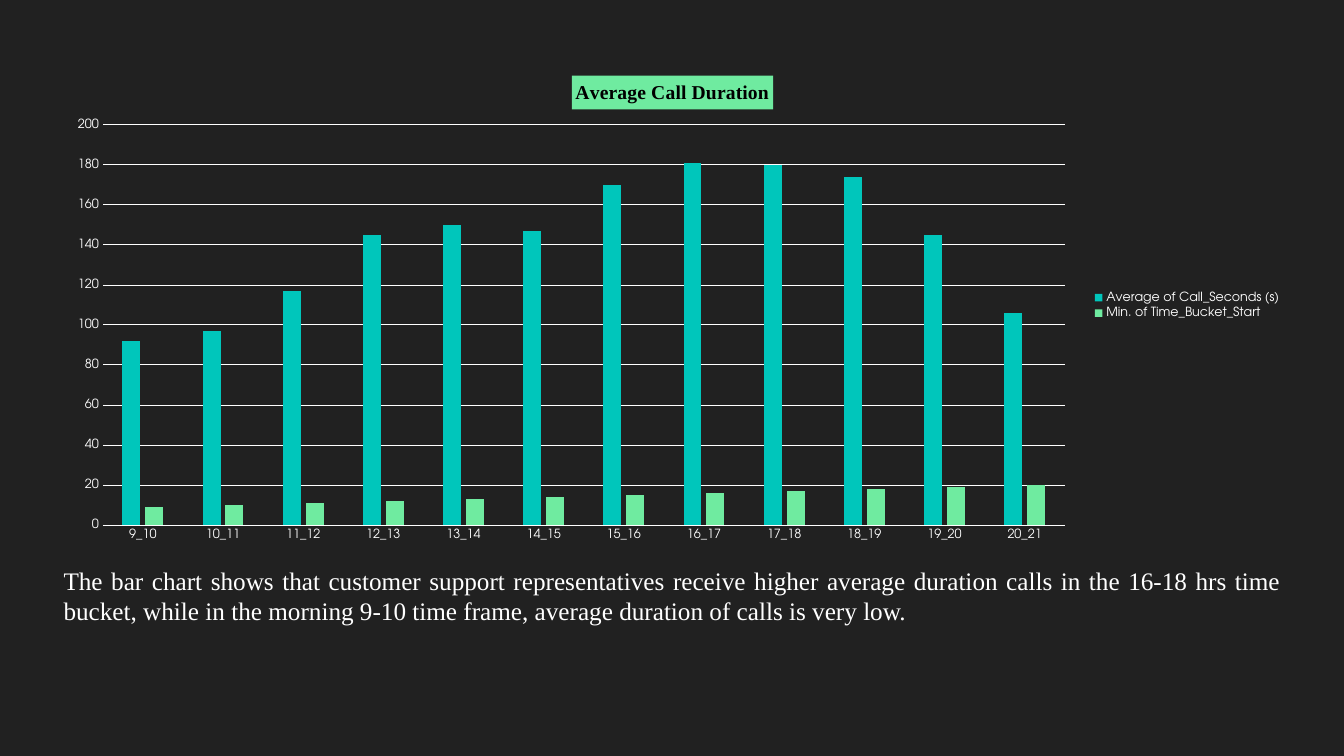
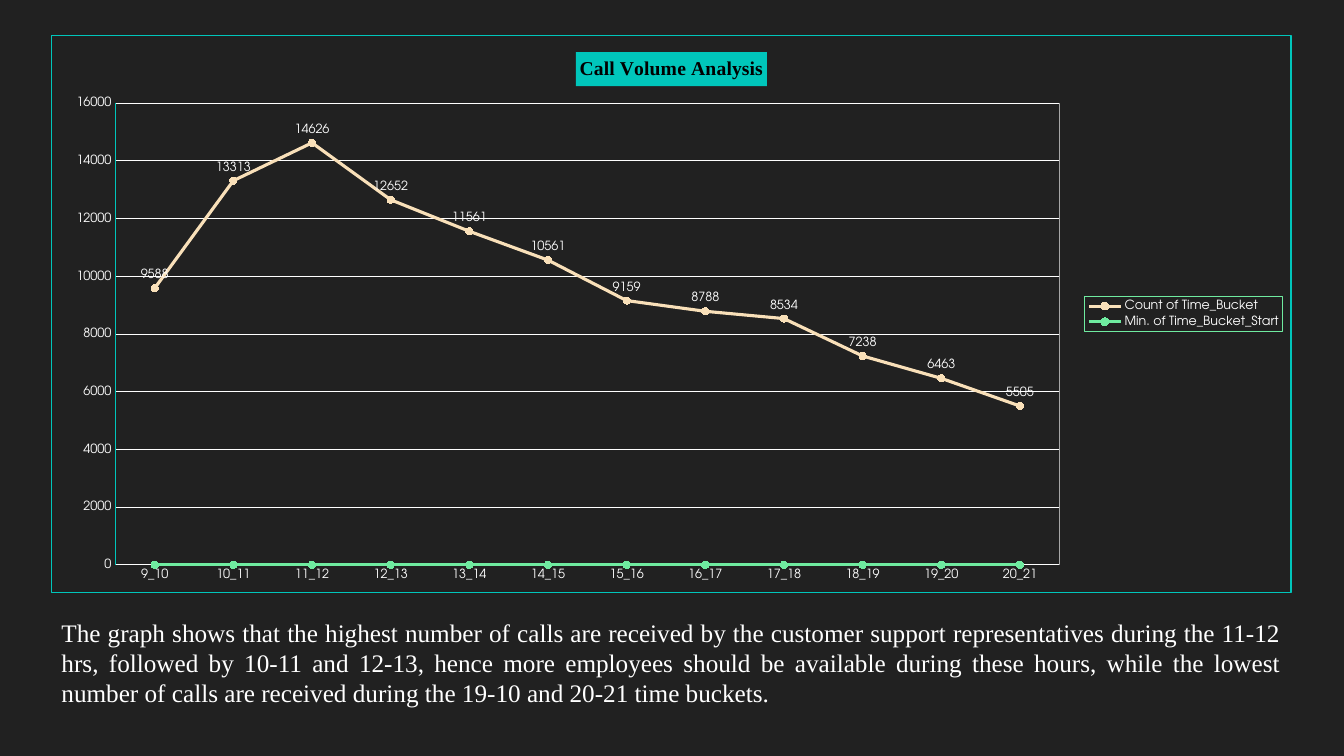
from dataclasses import dataclass
from typing import NamedTuple, Optional

from pptx import Presentation, oxml
from pptx import util as u
from pptx.chart import data as chart_data
from pptx.dml import color
from pptx.enum import chart as charts, text
from pptx.oxml import ns


@dataclass(frozen=True)
class Theme:
    background: str = "212121"
    light: str = "FFFFFF"
    dark: str = "000000"
    teal: str = "00C6BB"
    green: str = "6FEBA0"
    cream: str = "F9E0B9"
    grey: str = "A6A6A6"
    chart_font: str = "TeX Gyre Adventor"
    text_font: str = "Times New Roman"
    label_size: float = 9
    chart_size: float = 10
    title_size: float = 14
    caption_size: float = 18
    thin: float = 0.75
    thick: float = 2.25
    marker_size: int = 5


class Box(NamedTuple):
    left: float
    top: float
    width: float
    height: float


class Measure(NamedTuple):
    name: str
    values: tuple[int, ...]
    colour: str
    labelled: bool = False


@dataclass(frozen=True)
class ChartPage:
    kind: charts.XL_CHART_TYPE
    title: str
    title_fill: str
    frame: Box
    plot: Box
    top_value: int
    step: int
    measures: tuple[Measure, ...]
    caption: str
    caption_box: Box
    border: Optional[str] = None
    plot_border: Optional[str] = None
    axis_line: Optional[str] = None
    legend_border: Optional[str] = None


THEME = Theme()
HOURS = tuple(range(9, 21))
PAGES = (
    ChartPage(
        kind=charts.XL_CHART_TYPE.COLUMN_CLUSTERED,
        title="Average Call Duration",
        title_fill=THEME.green,
        frame=Box(0.53, 0.6, 12.28, 4.86),
        plot=Box(1.02, 1.24, 9.54, 3.97),
        top_value=200,
        step=20,
        measures=(
            Measure(
                "Average of Call_Seconds (s)",
                (92, 97, 117, 145, 150, 147, 170, 181, 180, 174, 145, 106),
                THEME.teal,
            ),
            Measure("Min. of Time_Bucket_Start", HOURS, THEME.green),
        ),
        caption="The bar chart shows that customer support representatives receive "
        "higher average duration calls in the 16-18 hrs time bucket, while in the "
        "morning 9-10 time frame, average duration of calls is very low.",
        caption_box=Box(0.53, 5.56, 12.28, 0.71),
    ),
    ChartPage(
        kind=charts.XL_CHART_TYPE.LINE_MARKERS,
        title="Call Volume Analysis",
        title_fill=THEME.teal,
        frame=Box(0.51, 0.35, 12.3, 5.53),
        plot=Box(1.14, 1.02, 9.37, 4.59),
        top_value=16000,
        step=2000,
        measures=(
            Measure(
                "Count of Time_Bucket",
                (9588, 13313, 14626, 12652, 11561, 10561,
                 9159, 8788, 8534, 7238, 6463, 5505),
                THEME.cream,
                labelled=True,
            ),
            Measure("Min. of Time_Bucket_Start", (0,) * len(HOURS), THEME.green),
        ),
        caption="The graph shows that the highest number of calls are received by the "
        "customer support representatives during the 11-12 hrs, followed by 10-11 and "
        "12-13, hence more employees should be available during these hours, while the "
        "lowest number of calls are received during the 19-10 and 20-21 time buckets.",
        caption_box=Box(0.51, 6.07, 12.3, 1.01),
        border=THEME.teal,
        plot_border=THEME.grey,
        axis_line=THEME.teal,
        legend_border=THEME.green,
    ),
)


def rgb(value: str) -> color.RGBColor:
    return color.RGBColor.from_string(value)


def format_font(font, *, size: float, colour: str, name: str, bold: bool = False) -> None:
    font.size = u.Pt(size)
    font.name = name
    font.bold = bold
    font.color.rgb = rgb(colour)


def write_text(frame, words: str, *, size: float, colour: str, name: str,
               bold: bool = False, align=None):
    para = frame.paragraphs[0]
    para.alignment = align
    span = para.add_run()
    span.text = words
    format_font(span.font, size=size, colour=colour, name=name, bold=bold)
    return para


def format_line(line, colour: Optional[str], width: float = THEME.thin) -> None:
    if colour is None:
        line.fill.background()
        return
    line.color.rgb = rgb(colour)
    line.width = u.Pt(width)


def outline(colour: Optional[str]):
    paint = (
        f'<a:solidFill><a:srgbClr val="{colour}"/></a:solidFill>' if colour else "<a:noFill/>"
    )
    return oxml.parse_xml(
        f'<c:spPr {ns.nsdecls("c", "a")}><a:noFill/>'
        f'<a:ln w="{u.Pt(THEME.thin)}">{paint}</a:ln></c:spPr>'
    )


def place_plot(area, page: ChartPage) -> None:
    for layout in area.findall(ns.qn("c:layout")):
        area.remove(layout)
    frame, plot = page.frame, page.plot
    shares = {
        "x": (plot.left - frame.left) / frame.width,
        "y": (plot.top - frame.top) / frame.height,
        "w": plot.width / frame.width,
        "h": plot.height / frame.height,
    }
    modes = "".join(f'<c:{key}Mode val="edge"/>' for key in "xy")
    sizes = "".join(f'<c:{key} val="{share:.4f}"/>' for key, share in shares.items())
    area.insert(0, oxml.parse_xml(
        f'<c:layout {ns.nsdecls("c")}><c:manualLayout><c:layoutTarget val="inner"/>'
        f"{modes}{sizes}</c:manualLayout></c:layout>"
    ))


def format_axes(chart, page: ChartPage) -> None:
    for axis, line in ((chart.category_axis, THEME.light), (chart.value_axis, page.axis_line)):
        axis.major_tick_mark = axis.minor_tick_mark = charts.XL_TICK_MARK.NONE
        format_font(axis.tick_labels.font, size=THEME.label_size, colour=THEME.light,
                    name=THEME.chart_font)
        format_line(axis.format.line, line)
    scale = chart.value_axis
    scale.minimum_scale, scale.maximum_scale = 0, page.top_value
    scale.major_unit = page.step
    scale.has_major_gridlines = True
    format_line(scale.major_gridlines.format.line, THEME.light)


def format_series(chart, page: ChartPage) -> None:
    plot = chart.plots[0]
    plot.vary_by_categories = False
    columns = page.kind == charts.XL_CHART_TYPE.COLUMN_CLUSTERED
    if columns:
        plot.gap_width, plot.overlap = 219, -27
    for series, measure in zip(plot.series, page.measures):
        if columns:
            series.format.fill.solid()
            series.format.fill.fore_color.rgb = rgb(measure.colour)
        else:
            series.smooth = False
            format_line(series.format.line, measure.colour, THEME.thick)
            series.marker.style = charts.XL_MARKER_STYLE.CIRCLE
            series.marker.size = THEME.marker_size
            series.marker.format.fill.solid()
            series.marker.format.fill.fore_color.rgb = rgb(measure.colour)
            format_line(series.marker.format.line, measure.colour)
        if measure.labelled:
            labels = series.data_labels
            labels.show_value = True
            labels.position = charts.XL_LABEL_POSITION.ABOVE
            format_font(labels.font, size=THEME.label_size, colour=THEME.light,
                        name=THEME.chart_font)


def add_chart(slide, page: ChartPage) -> None:
    source = chart_data.CategoryChartData()
    source.categories = [f"{hour}_{hour + 1}" for hour in HOURS]
    for measure in page.measures:
        source.add_series(measure.name, measure.values)
    chart = slide.shapes.add_chart(page.kind, *map(u.Inches, page.frame), source).chart
    format_font(chart.font, size=THEME.chart_size, colour=THEME.light, name=THEME.chart_font)

    chart.has_title = True
    title = chart.chart_title
    write_text(title.text_frame, page.title, size=THEME.title_size, colour=THEME.dark,
               name=THEME.text_font, bold=True)
    title.format.fill.solid()
    title.format.fill.fore_color.rgb = rgb(page.title_fill)

    chart.has_legend = True
    chart.legend.position = charts.XL_LEGEND_POSITION.RIGHT
    chart.legend.include_in_layout = False
    format_font(chart.legend.font, size=THEME.label_size, colour=THEME.light,
                name=THEME.chart_font)

    format_axes(chart, page)
    format_series(chart, page)
    body = chart.element.find(ns.qn("c:chart"))
    body.addnext(outline(page.border))
    area = body.find(ns.qn("c:plotArea"))
    place_plot(area, page)
    area.append(outline(page.plot_border))
    legend = body.find(ns.qn("c:legend"))
    legend.find(ns.qn("c:txPr")).addprevious(outline(page.legend_border))


def add_caption(slide, page: ChartPage) -> None:
    box = slide.placeholders[1]
    box.left, box.top, box.width, box.height = map(u.Inches, page.caption_box)
    frame = box.text_frame
    frame.word_wrap = True
    frame.auto_size = text.MSO_AUTO_SIZE.SHAPE_TO_FIT_TEXT
    para = write_text(frame, page.caption, size=THEME.caption_size, colour=THEME.light,
                      name=THEME.text_font, align=text.PP_ALIGN.JUSTIFY)
    para.space_before = u.Pt(0)
    properties = para._p.get_or_add_pPr()
    properties.set("marL", "0")
    properties.set("indent", "0")
    properties.append(oxml.parse_xml(f'<a:buNone {ns.nsdecls("a")}/>'))


def main() -> None:
    deck = Presentation()
    deck.slide_width, deck.slide_height = u.Inches(13.33), u.Inches(7.5)
    backdrop = deck.slide_master.background.fill
    backdrop.solid()
    backdrop.fore_color.rgb = rgb(THEME.background)
    for page in PAGES:
        slide = deck.slides.add_slide(deck.slide_layouts.get_by_name("Title and Content"))
        heading = slide.shapes.title.element
        heading.getparent().remove(heading)
        add_chart(slide, page)
        add_caption(slide, page)
    deck.save("out.pptx")


if __name__ == "__main__":
    main()
